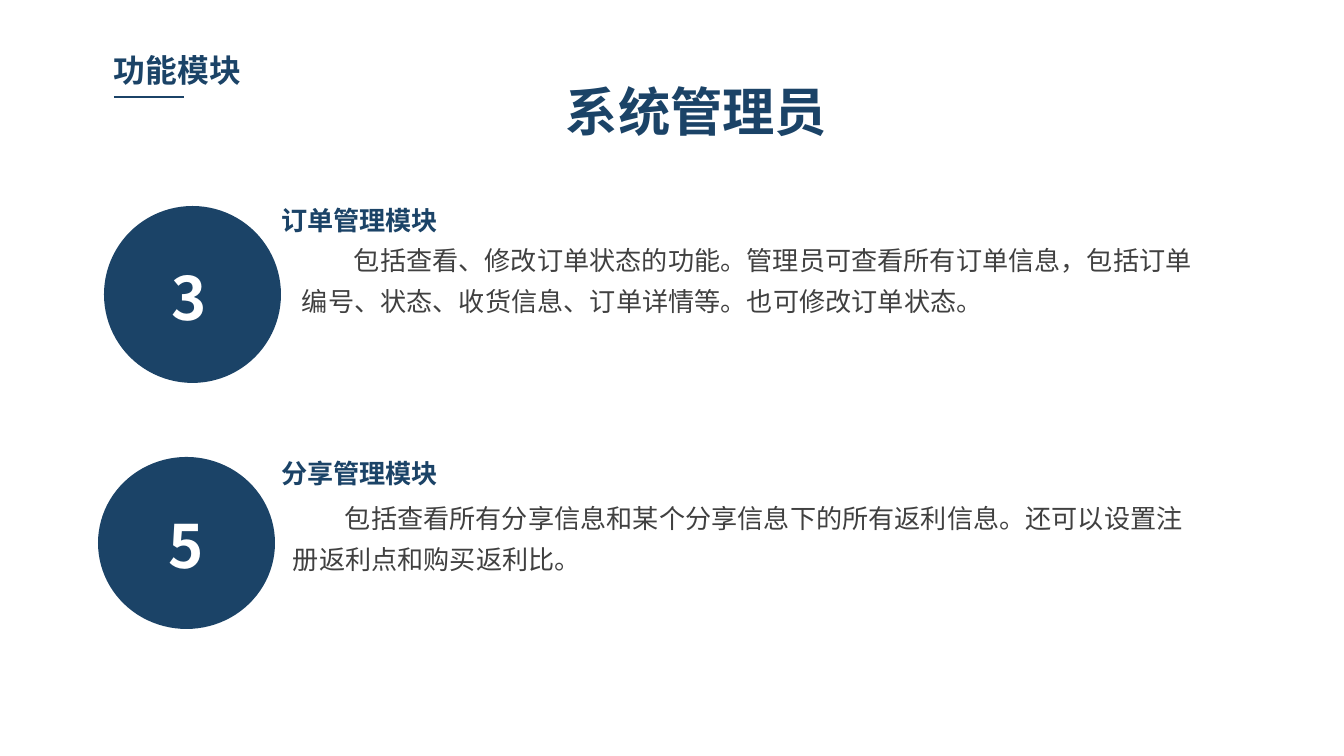
from lxml import etree
from pptx import Presentation
from pptx import util as u
from pptx.dml.color import RGBColor
from pptx.enum import shapes, text
from pptx.oxml.ns import qn

PX = 914400 * 10 / 1344
FONT = "Noto Sans CJK SC"
NAVY, GREY, WHITE = "1B4367", "404040", "FFFFFF"


def px(value):
    return u.Emu(round(value * PX))


def colour(code):
    return RGBColor.from_string(code)


class ModuleSlide:
    """Holds the style and the current slide, and draws its elements."""

    def __init__(self, deck):
        self.page = deck.slides.add_slide(deck.slide_layouts[6])

    def circle(self, x, y, w, h):
        disc = self.page.shapes.add_shape(
            shapes.MSO_SHAPE.FLOWCHART_CONNECTOR, px(x), px(y), px(w), px(h))
        disc.shadow.inherit = False
        disc.fill.solid()
        disc.fill.fore_color.rgb = colour(NAVY)
        disc.line.fill.background()

    def rule(self, x, y, w):
        line = self.page.shapes.add_connector(
            shapes.MSO_CONNECTOR.STRAIGHT, px(x), px(y), px(x + w), px(y))
        line.line.color.rgb = colour(NAVY)
        line.line.width = u.Pt(0.75)
        etree.SubElement(line._element.spPr, qn("a:effectLst"))

    def label(self, x, y, w, h, words, size, ink=NAVY, bold=True,
              margins=(0, 0), indent=0, spacing=None):
        box = self.page.shapes.add_textbox(px(x), px(y), px(w), px(h))
        side, top = margins
        frame = {"word_wrap": True,
                 "auto_size": text.MSO_AUTO_SIZE.SHAPE_TO_FIT_TEXT,
                 "margin_left": px(side), "margin_right": px(side),
                 "margin_top": px(top), "margin_bottom": px(top)}
        for name, value in frame.items():
            setattr(box.text_frame, name, value)
        para = box.text_frame.paragraphs[0]
        if spacing:
            para.line_spacing = u.Pt(spacing)
        if indent:
            para._p.get_or_add_pPr().set("indent", str(px(indent)))
        span = para.add_run()
        span.text = words
        for name, value in {"name": FONT, "size": u.Pt(size), "bold": bold}.items():
            setattr(span.font, name, value)
        span.font.color.rgb = colour(ink)
        east = etree.SubElement(span._r.get_or_add_rPr(), qn("a:ea"))
        east.set("typeface", FONT)

    def module(self, disc, number, digit, heading_y, heading, body, words):
        self.circle(*disc)
        self.label(*digit, 51, 73, number, 32, WHITE)
        self.label(281, heading_y, 206, 32, heading, 14)
        self.label(*body, 894, 83, words, 14, GREY, False, indent=52, spacing=22)


def main():
    deck = Presentation()
    deck.slide_width, deck.slide_height = px(1344), px(756)
    slide = ModuleSlide(deck)
    slide.label(105, 46, 332, 48, "功能模块", 17, margins=(9, 5))
    slide.rule(114, 97, 70)
    slide.label(566, 79, 269, 63, "系统管理员", 28)
    slide.module((104, 206, 177, 177), "3", (172, 261), 204, "订单管理模块", (302, 235),
                 "包括查看、修改订单状态的功能。管理员可查看所有订单信息，包括订单编号、状态、"
                 "收货信息、订单详情等。也可修改订单状态。")
    slide.module((98, 457, 177, 172), "5", (169, 509), 457, "分享管理模块", (293, 493),
                 "包括查看所有分享信息和某个分享信息下的所有返利信息。"
                 "还可以设置注册返利点和购买返利比。")
    deck.save("out.pptx")


if __name__ == "__main__":
    main()
